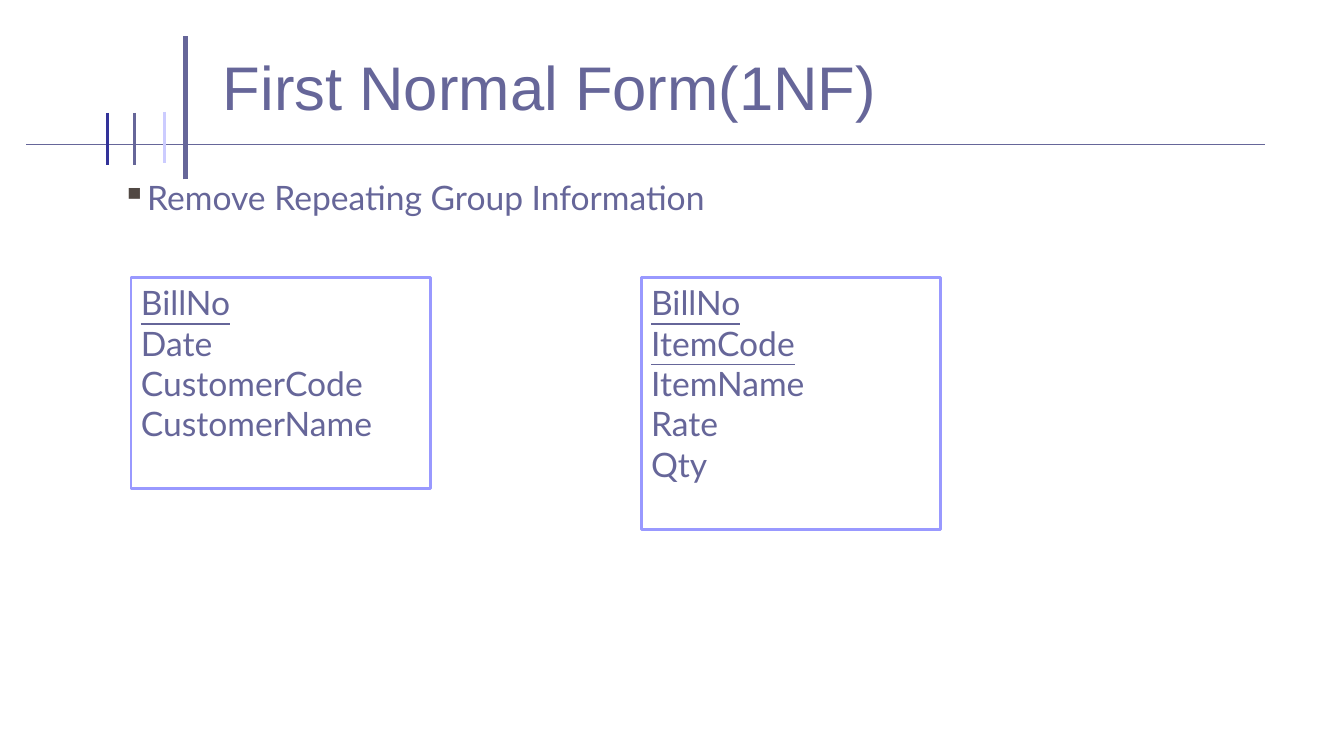
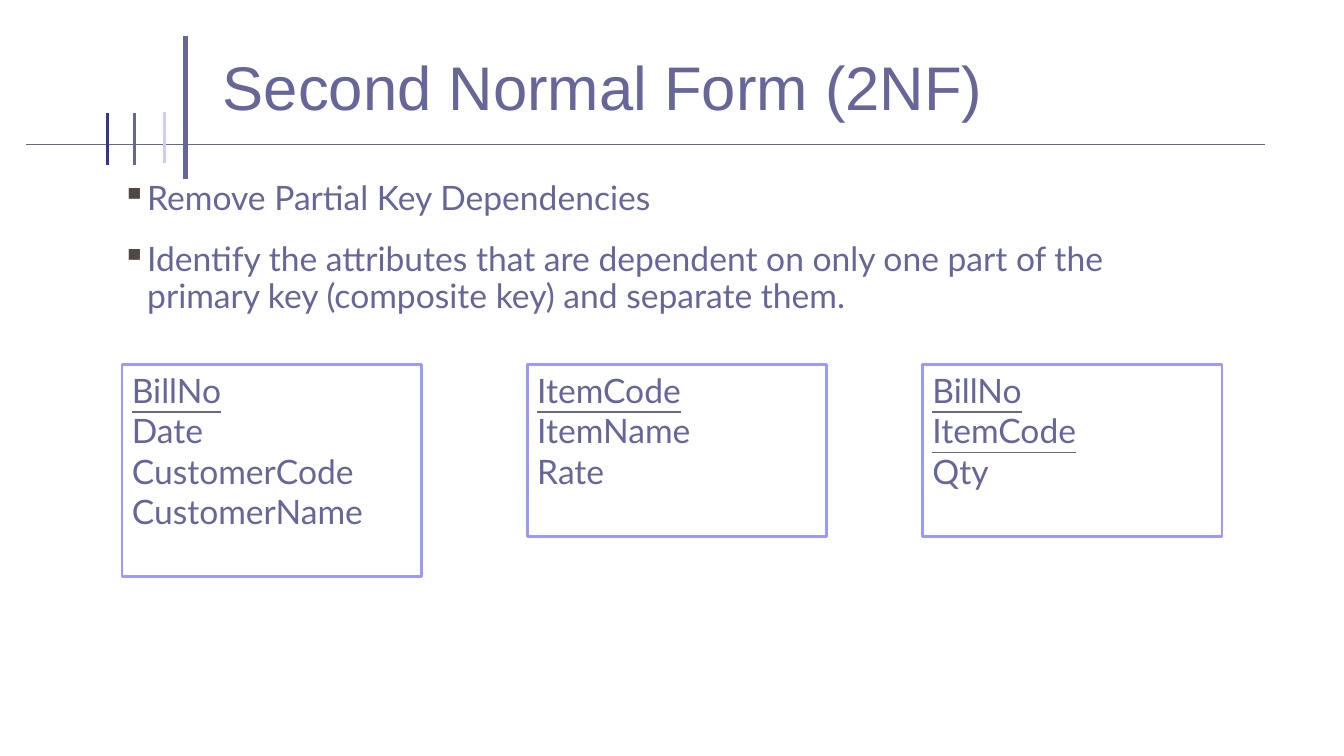
import pptx
import pptx.util
import pptx.dml.color
import pptx.enum.shapes
import pptx.enum.text
import pptx.oxml.ns
import lxml.etree
from dataclasses import dataclass

Inches = pptx.util.Inches
ANCHOR = pptx.enum.text.MSO_ANCHOR


@dataclass(frozen=True)
class Theme:
    text: str = "666699"
    border: str = "9999FF"
    pale: str = "CCCCFF"
    deep: str = "333399"
    bullet: str = "514843"
    paper: str = "FFFFFF"
    title_font: str = "Arial"
    body_font: str = "Lato"
    title_size: int = 44
    body_size: int = 24
    border_width: float = 2
    row_height: float = 0.4


THEME = Theme()

# Slide frame lines: start x, start y, end x, end y, colour, width in points
FRAME_LINES = [
    (1.84, 1.78, 1.84, 0.36, THEME.text, 3),
    (0.26, 1.43, 12.55, 1.43, THEME.text, 0.75),
    (1.63, 1.11, 1.63, 1.62, THEME.pale, 2.25),
    (1.33, 1.12, 1.33, 1.64, THEME.text, 2.25),
    (1.07, 1.12, 1.07, 1.64, THEME.deep, 2.25),
]
TITLE_BOX = (1.21, 0.08, 10.91, 1.2)
BODY_BOX = (1.21, 1.75, 10.92, 5)
ENTITY_WIDTH = 2.97

# Each entity: left edge, key attributes, other attributes
BILL = (["BillNo"], ["Date", "CustomerCode", "CustomerName"])
SLIDES = [
    {
        "title": "First Normal Form(1NF)",
        "bullets": ["Remove Repeating Group Information"],
        "entity_top": 2.75,
        "entities": [
            (1.3, *BILL),
            (6.36, ["BillNo", "ItemCode"], ["ItemName", "Rate", "Qty"]),
        ],
    },
    {
        "title": "Second Normal Form (2NF)",
        "bullets": [
            "Remove Partial Key Dependencies",
            "Identify the attributes that are dependent on only one part of "
            "the primary key (composite key) and separate them.",
        ],
        "entity_top": 3.62,
        "entities": [
            (1.21, *BILL),
            (5.23, ["ItemCode"], ["ItemName", "Rate"]),
            (9.15, ["BillNo", "ItemCode"], ["Qty"]),
        ],
    },
]


def rgb(value):
    return pptx.dml.color.RGBColor.from_string(value)


def write_text(paragraph, text, font=THEME.body_font, size=THEME.body_size,
               color=THEME.text, underline=False, line_spacing=1.0, space_before=0):
    paragraph.alignment = pptx.enum.text.PP_ALIGN.LEFT
    paragraph.line_spacing = line_spacing
    paragraph.space_before = pptx.util.Pt(space_before)
    run = paragraph.add_run()
    run.text = text
    run.font.name = font
    run.font.size = pptx.util.Pt(size)
    run.font.color.rgb = rgb(color)
    run.font.underline = underline


def prepare_frame(shape, anchor=ANCHOR.TOP, left=0.0, right=0.0):
    frame = shape.text_frame
    frame.word_wrap = True
    frame.auto_size = pptx.enum.text.MSO_AUTO_SIZE.NONE
    frame.vertical_anchor = anchor
    frame.margin_left, frame.margin_right = Inches(left), Inches(right)
    frame.margin_top = frame.margin_bottom = Inches(0.05)
    return frame


def paragraphs_for(frame, texts):
    """Yield one paragraph for each text, using the first one already there."""
    for index, text in enumerate(texts):
        yield (frame.add_paragraph() if index else frame.paragraphs[0]), text


def add_bullet(paragraph, color=THEME.bullet, character="▪", indent=0.25):
    properties = paragraph._p.get_or_add_pPr()
    properties.set("marL", str(Inches(indent)))
    properties.set("indent", str(-Inches(indent)))
    qn = pptx.oxml.ns.qn
    bullet_color = lxml.etree.SubElement(properties, qn("a:buClr"))
    lxml.etree.SubElement(bullet_color, qn("a:srgbClr"), val=color)
    lxml.etree.SubElement(properties, qn("a:buChar"), char=character)


def draw_frame_lines(slide):
    for *ends, color, width in FRAME_LINES:
        connector = slide.shapes.add_connector(
            pptx.enum.shapes.MSO_CONNECTOR.STRAIGHT, *map(Inches, ends))
        connector.line.color.rgb = rgb(color)
        connector.line.width = pptx.util.Pt(width)
        lxml.etree.SubElement(connector._element.spPr, pptx.oxml.ns.qn("a:effectLst"))


def draw_title(slide, box, text):
    title = slide.shapes.title
    title.left, title.top, title.width, title.height = map(Inches, box)
    frame = prepare_frame(title, anchor=ANCHOR.BOTTOM, left=1)
    write_text(frame.paragraphs[0], text, font=THEME.title_font,
               size=THEME.title_size, line_spacing=0.9)


def draw_bullets(slide, box, bullets):
    frame = prepare_frame(slide.shapes.add_textbox(*map(Inches, box)))
    for paragraph, text in paragraphs_for(frame, bullets):
        write_text(paragraph, text, line_spacing=0.9, space_before=18)
        add_bullet(paragraph)


def draw_entity(slide, left, top, keys, others):
    # One spare row is left under the attributes
    attributes = keys + others
    height = 0.1 + THEME.row_height * (len(attributes) + 1)
    shape = slide.shapes.add_shape(
        pptx.enum.shapes.MSO_SHAPE.RECTANGLE,
        *map(Inches, (left, top, ENTITY_WIDTH, height)))
    shape.shadow.inherit = False
    shape.fill.solid()
    shape.fill.fore_color.rgb = rgb(THEME.paper)
    shape.line.color.rgb = rgb(THEME.border)
    shape.line.width = pptx.util.Pt(THEME.border_width)
    frame = prepare_frame(shape, left=0.1, right=0.1)
    for paragraph, name in paragraphs_for(frame, attributes):
        write_text(paragraph, name, underline=name in keys)


def build_slide(presentation, content):
    slide = presentation.slides.add_slide(
        presentation.slide_layouts.get_by_name("Title Only"))
    draw_frame_lines(slide)
    draw_title(slide, TITLE_BOX, content["title"])
    draw_bullets(slide, BODY_BOX, content["bullets"])
    for left, keys, others in content["entities"]:
        draw_entity(slide, left, content["entity_top"], keys, others)


presentation = pptx.Presentation()
presentation.slide_width = Inches(13.33)
presentation.slide_height = Inches(7.5)
for content in SLIDES:
    build_slide(presentation, content)
presentation.save("out.pptx")
